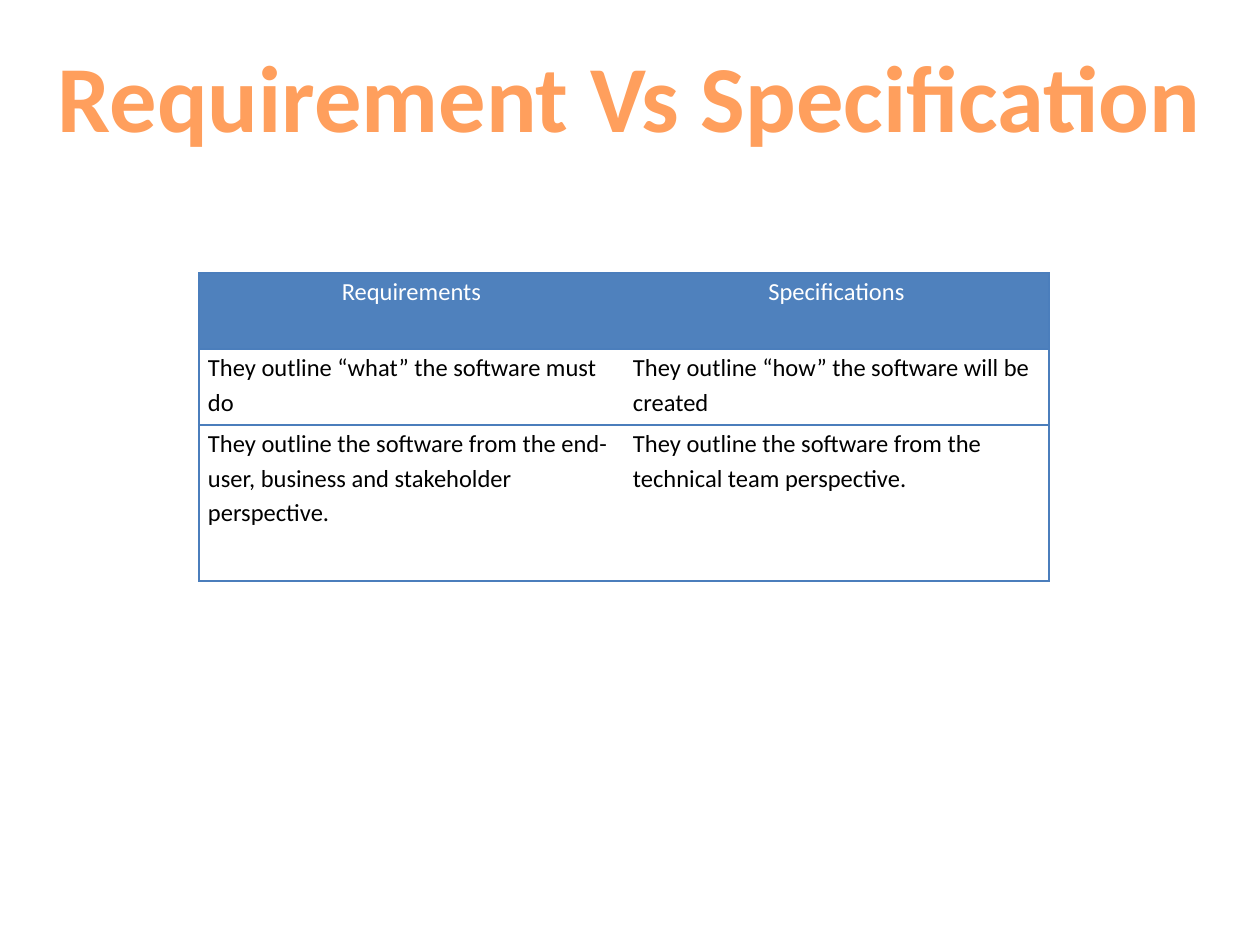
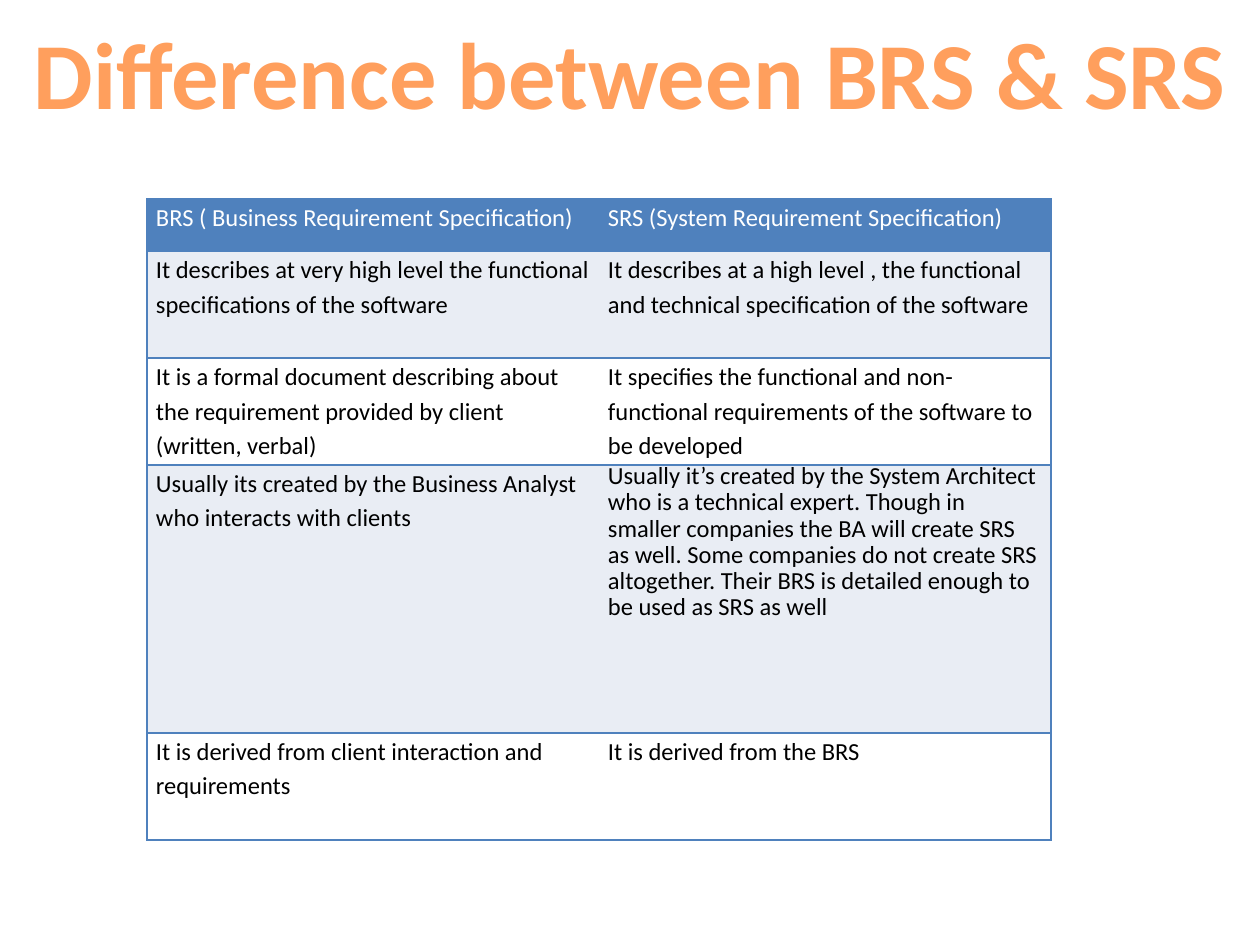
from lxml import etree
from pptx import Presentation
from pptx.dml.color import RGBColor
from pptx.enum.text import MSO_ANCHOR, MSO_AUTO_SIZE, PP_ALIGN
from pptx.oxml.ns import qn
from pptx.util import Emu, Pt

TOP = MSO_ANCHOR.TOP
FIT_SHAPE = MSO_AUTO_SIZE.SHAPE_TO_FIT_TEXT
LEFT, CENTER = PP_ALIGN.LEFT, PP_ALIGN.CENTER

FONT = "Calibri"
PX_PER_INCH = 126
CELL_MARGIN = 9
LINE_SPACING = 1.15

WHITE = RGBColor(0xFF, 0xFF, 0xFF)
BLACK = RGBColor(0x00, 0x00, 0x00)
BLUE = RGBColor(0x4F, 0x81, 0xBD)
RULE_BLUE = RGBColor(0x4B, 0x7E, 0xBC)
PALE_BLUE = RGBColor(0xE9, 0xED, 0xF4)
LIGHT_ORANGE = RGBColor(0xFF, 0xA3, 0x67)
ORANGE = RGBColor(0xFF, 0x9F, 0x5D)
DEEP_ORANGE = RGBColor(0xF3, 0x8E, 0x3A)
TITLE_GRADIENT = [LIGHT_ORANGE, ORANGE, DEEP_ORANGE, ORANGE, LIGHT_ORANGE]

REQUIREMENT_ROWS = [
    ("Requirements", "Specifications"),
    ("They outline “what” the software must do",
     "They outline “how” the software will be created"),
    ("They outline the software from the end-user, business and stakeholder perspective.",
     "They outline the software from the technical team perspective."),
]
BRS_SRS_ROWS = [
    ("BRS ( Business Requirement Specification)",
     "SRS (System Requirement Specification)"),
    ("It describes at very high level the functional specifications of the software",
     "It describes at a high level , the functional and technical specification of the software"),
    ("It is a formal document describing about the requirement provided by client (written, verbal)",
     "It specifies the functional and non-functional requirements of the software to be developed"),
    ("Usually its created by the Business Analyst who interacts with clients",
     "Usually it’s created by the System Architect who is a technical expert. Though in smaller "
     "companies the BA will create SRS as well. Some companies do not create SRS altogether. "
     "Their BRS is detailed enough to be used as SRS as well"),
    ("It is derived from client interaction and requirements", "It is derived from the BRS"),
]


def px(length):
    """Turn pixels into EMU."""
    return Emu(round(length * 914400 / PX_PER_INCH))


def fill_gradient(font, colors):
    """Fill text with evenly spaced vertical gradient stops."""
    font.fill.gradient()
    font.fill.gradient_angle = 270
    stops = font._element.find(f"{qn('a:gradFill')}/{qn('a:gsLst')}")
    for stop in list(stops):
        stops.remove(stop)
    for index, color in enumerate(colors):
        position = index * 100000 // (len(colors) - 1)
        stop = etree.SubElement(stops, qn("a:gs"), pos=str(position))
        etree.SubElement(stop, qn("a:srgbClr"), val=str(color))


def add_titled_slide(deck, text, left, top, width):
    """Add a title-only slide with its large orange heading."""
    slide = deck.slides.add_slide(deck.slide_layouts[5])
    title = slide.shapes.title
    title.left, title.top, title.width, title.height = map(px, (left, top, width, 127))
    frame = title.text_frame
    frame.text = text
    frame.word_wrap = False
    frame.auto_size = FIT_SHAPE
    frame.vertical_anchor = TOP
    para = frame.paragraphs[0]
    para.alignment = CENTER
    font = para.runs[0].font
    font.name, font.size, font.bold = FONT, Pt(54), True
    fill_gradient(font, TITLE_GRADIENT)
    return slide


def set_borders(cell, color, points, visible_sides):
    """Draw the visible sides of a cell and clear the others."""
    properties = cell._tc.get_or_add_tcPr()
    for side in "LRTB":
        line = etree.SubElement(properties, qn(f"a:ln{side}"), w=str(Pt(points)))
        if side in visible_sides:
            fill = etree.SubElement(line, qn("a:solidFill"))
            etree.SubElement(fill, qn("a:srgbClr"), val=str(color))
        else:
            etree.SubElement(line, qn("a:noFill"))


def write_cell(cell, text, color, alignment):
    """Write the text of one cell."""
    cell.margin_left = cell.margin_right = px(CELL_MARGIN)
    cell.margin_top = cell.margin_bottom = 0
    cell.text = text
    para = cell.text_frame.paragraphs[0]
    para.alignment = alignment
    para.line_spacing = LINE_SPACING
    font = para.runs[0].font
    font.name, font.size, font.bold = FONT, Pt(14), False
    font.color.rgb = color


def add_comparison(slide, rows, left, top, column_width, row_heights,
                   header_alignment, band_colors, rule_color, rule_points):
    """Add a two-column table with a blue header and ruled rows."""
    frame = slide.shapes.add_table(len(rows), 2, px(left), px(top),
                                   px(2 * column_width), px(sum(row_heights)))
    table = frame.table
    table.first_row = table.horz_banding = False
    for column in table.columns:
        column.width = px(column_width)
    for row_index, (texts, height) in enumerate(zip(rows, row_heights)):
        table.rows[row_index].height = px(height)
        is_header = row_index == 0
        fill_color = BLUE if is_header else band_colors[(row_index - 1) % len(band_colors)]
        for column_index, text in enumerate(texts):
            cell = table.cell(row_index, column_index)
            write_cell(cell, text, WHITE if is_header else BLACK,
                       header_alignment if is_header else LEFT)
            set_borders(cell, rule_color, rule_points, "LTB" if column_index == 0 else "RTB")
            cell.fill.solid()
            cell.fill.fore_color.rgb = fill_color
    return table


def main():
    """Build the two comparison slides."""
    deck = Presentation()
    deck.slide_width, deck.slide_height = px(1260), px(945)

    slide = add_titled_slide(deck, "Requirement Vs Specification", 39, 32, 1181)
    add_comparison(slide, REQUIREMENT_ROWS, 199, 273, 425, [76, 76, 156],
                   CENTER, [WHITE], RULE_BLUE, 0.75)

    slide = add_titled_slide(deck, "Difference between BRS & SRS", 14, 9, 1232)
    table = add_comparison(slide, BRS_SRS_ROWS, 147, 199, 452, [52, 107, 107, 268, 107],
                           LEFT, [PALE_BLUE, WHITE], BLUE, 1)
    architect_para = table.cell(3, 1).text_frame.paragraphs[0]
    architect_para.line_spacing = Pt(15)
    architect_para.space_after = Pt(11.2)

    deck.save("out.pptx")


if __name__ == "__main__":
    main()
